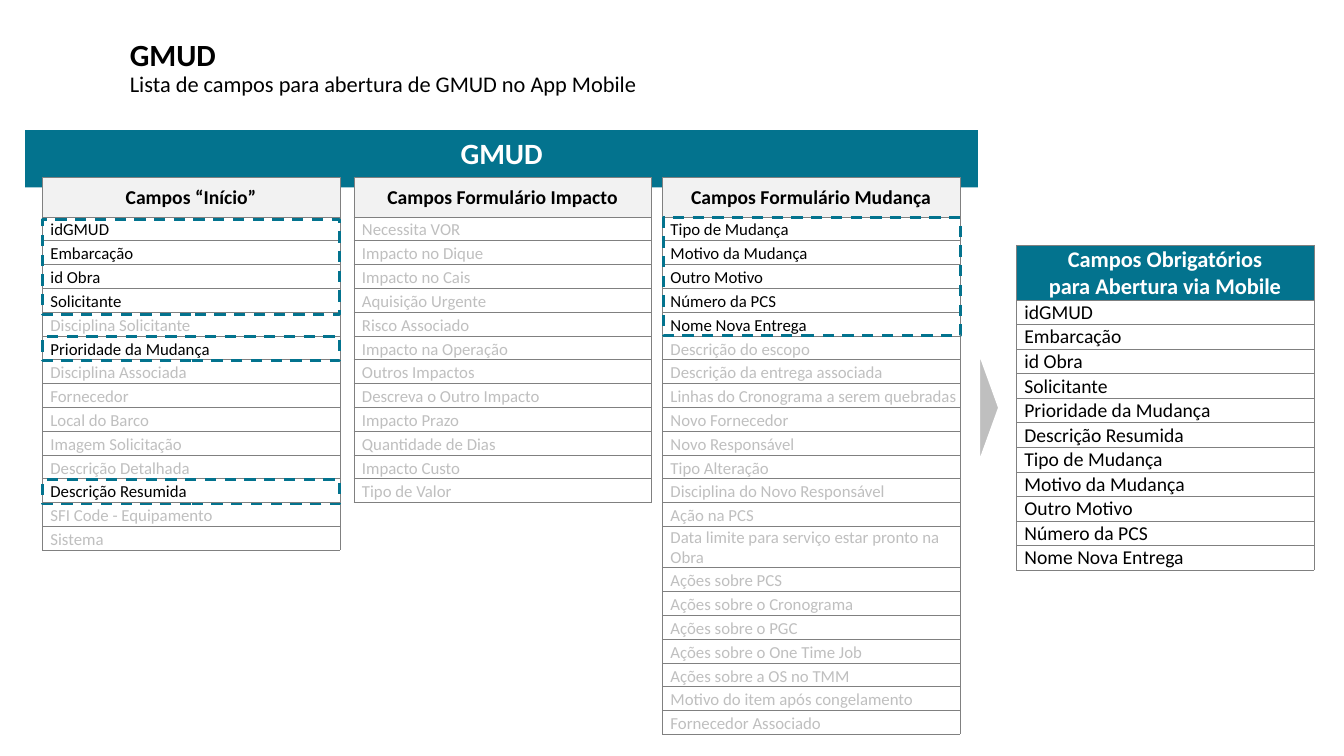
from lxml.etree import SubElement
from pptx import Presentation
from pptx.dml.color import RGBColor
from pptx.enum.dml import MSO_LINE
from pptx.enum.shapes import MSO_SHAPE as Shape
from pptx.enum.text import MSO_ANCHOR as Anchor, PP_ALIGN as Align
from pptx.oxml.ns import qn
from pptx.util import Inches, Pt

COLORS = {"teal": "03738E", "header": "F2F2F2", "muted": "BFBFBF",
          "border": "808080", "black": "000000", "white": "FFFFFF"}
FONT = "Calibri"
TITLE = "GMUD"
SUBTITLE = "Lista de campos para abertura de GMUD no App Mobile"
REQUIRED = [
    "idGMUD", "Embarcação", "id Obra", "Solicitante", "Prioridade da Mudança",
    "Descrição Resumida", "Tipo de Mudança", "Motivo da Mudança",
    "Outro Motivo", "Número da PCS", "Nome Nova Entrega",
]
FORMS = [
    (0.42, "Campos “Início”", [
        "idGMUD", "Embarcação", "id Obra", "Solicitante",
        "Disciplina Solicitante", "Prioridade da Mudança",
        "Disciplina Associada", "Fornecedor", "Local do Barco",
        "Imagem Solicitação", "Descrição Detalhada", "Descrição Resumida",
        "SFI Code - Equipamento", "Sistema",
    ]),
    (3.51, "Campos Formulário Impacto", [
        "Necessita VOR", "Impacto no Dique", "Impacto no Cais",
        "Aquisição Urgente", "Risco Associado", "Impacto na Operação",
        "Outros Impactos", "Descreva o Outro Impacto", "Impacto Prazo",
        "Quantidade de Dias", "Impacto Custo", "Tipo de Valor",
    ]),
    (6.57, "Campos Formulário Mudança", [
        "Tipo de Mudança", "Motivo da Mudança", "Outro Motivo",
        "Número da PCS", "Nome Nova Entrega", "Descrição do escopo",
        "Descrição da entrega associada",
        "Linhas do Cronograma a serem quebradas", "Novo Fornecedor",
        "Novo Responsável", "Tipo Alteração",
        "Disciplina do Novo Responsável", "Ação na PCS",
        "Data limite para serviço estar pronto na Obra", "Ações sobre PCS",
        "Ações sobre o Cronograma", "Ações sobre o PGC",
        "Ações sobre o One Time Job", "Ações sobre a OS no TMM",
        "Motivo do item após congelamento", "Fornecedor Associado",
    ]),
]
REQUIRED_HEADER = "Campos Obrigatórios\npara Abertura via Mobile"
FRAMES = [(0.42, 2.18, 0.94), (0.42, 3.34, 0.24),
          (0.42, 4.76, 0.24), (6.58, 2.16, 1.17)]
COLUMN_WIDTH = 2.95
HEADER_HEIGHT = 0.39
ROW_HEIGHT = 3.31 / 14


def rgb(name):
    return RGBColor.from_string(COLORS[name])


def set_font(font, size, color, bold=False):
    font.name = FONT
    font.size = Pt(size)
    font.bold = bold
    font.color.rgb = rgb(color)


def add_shape(slide, kind, left, top, width, height, fill=None):
    shape = slide.shapes.add_shape(
        kind, Inches(left), Inches(top), Inches(width), Inches(height))
    shape.shadow.inherit = False
    if fill:
        shape.fill.solid()
        shape.fill.fore_color.rgb = rgb(fill)
    else:
        shape.fill.background()
    return shape


def set_borders(cell):
    properties = cell._tc.get_or_add_tcPr()
    for position, side in enumerate(("lnL", "lnR", "lnT", "lnB")):
        line = SubElement(properties, qn("a:" + side), w=str(Pt(0.25)))
        fill = SubElement(line, qn("a:solidFill"))
        SubElement(fill, qn("a:srgbClr"), val=COLORS["border"])
        properties.insert(position, line)


def fill_cell(cell, text, size, color, fill=None):
    cell.text = text
    cell.vertical_anchor = Anchor.MIDDLE if fill else Anchor.BOTTOM
    cell.margin_left = Inches(0.01 if fill else 0.08)
    cell.margin_top = cell.margin_right = Inches(0.01)
    cell.margin_bottom = 0
    if fill:
        cell.fill.solid()
        cell.fill.fore_color.rgb = rgb(fill)
    else:
        cell.fill.background()
    for paragraph in cell.text_frame.paragraphs:
        paragraph.alignment = Align.CENTER if fill else Align.LEFT
        set_font(paragraph.font, size, color, bold=bool(fill))
    set_borders(cell)


def add_field_table(slide, left, top, header, fields, size, header_color, header_fill):
    height = HEADER_HEIGHT + ROW_HEIGHT * len(fields)
    table = slide.shapes.add_table(
        len(fields) + 1, 1, Inches(left), Inches(top),
        Inches(COLUMN_WIDTH), Inches(height)).table
    table.first_row = table.horz_banding = False
    table.rows[0].height = Inches(HEADER_HEIGHT)
    fill_cell(table.cell(0, 0), header, size + 2, header_color, header_fill)
    for row, field in enumerate(fields, 1):
        table.rows[row].height = Inches(ROW_HEIGHT)
        color = "black" if field in REQUIRED else "muted"
        fill_cell(table.cell(row, 0), field, size, color)


def add_title(slide):
    box = slide.shapes.add_textbox(
        Inches(1.19), Inches(0.33), Inches(11.47), Inches(0.71))
    frame = box.text_frame
    frame.word_wrap = True
    frame.vertical_anchor = Anchor.MIDDLE
    paragraph = frame.paragraphs[0]
    paragraph.line_spacing = 0.9
    title = paragraph.add_run()
    title.text = TITLE
    set_font(title.font, 22, "black", bold=True)
    paragraph.add_line_break()
    subtitle = paragraph.add_run()
    subtitle.text = SUBTITLE
    set_font(subtitle.font, 16, "black")


def main():
    presentation = Presentation()
    presentation.slide_width = Inches(13.33)
    presentation.slide_height = Inches(7.5)
    slide = presentation.slides.add_slide(presentation.slide_layouts[6])

    banner = add_shape(slide, Shape.RECTANGLE, 0.25, 1.29, 9.45, 0.57, "teal")
    banner.line.fill.background()
    banner.text_frame.text = TITLE
    banner.text_frame.vertical_anchor = Anchor.TOP
    paragraph = banner.text_frame.paragraphs[0]
    paragraph.alignment = Align.CENTER
    set_font(paragraph.font, 21, "white", bold=True)

    add_title(slide)
    for left, header, fields in FORMS:
        add_field_table(slide, left, 1.76, header, fields, 12, "black", "header")
    for left, top, height in FRAMES:
        frame = add_shape(slide, Shape.RECTANGLE, left, top, COLUMN_WIDTH, height)
        frame.line.color.rgb = rgb("teal")
        frame.line.width = Pt(2)
        frame.line.dash_style = MSO_LINE.DASH
    add_field_table(slide, 10.08, 2.43, REQUIRED_HEADER, REQUIRED, 14, "white", "teal")

    arrow = add_shape(slide, Shape.ISOSCELES_TRIANGLE, 9.23, 3.94, 1.16, 0.21, "muted")
    arrow.rotation = 90
    arrow.line.color.rgb = rgb("white")
    arrow.line.width = Pt(2.25)
    presentation.save("out.pptx")


if __name__ == "__main__":
    main()
